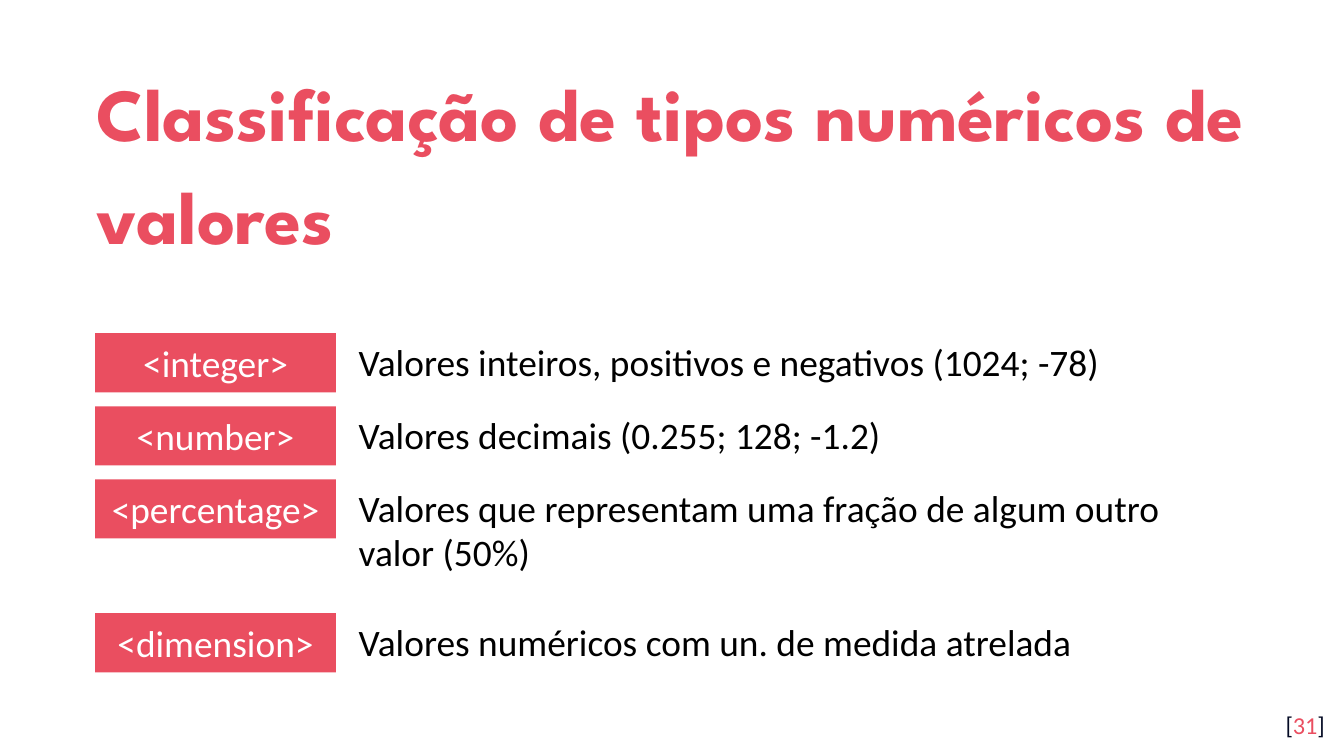
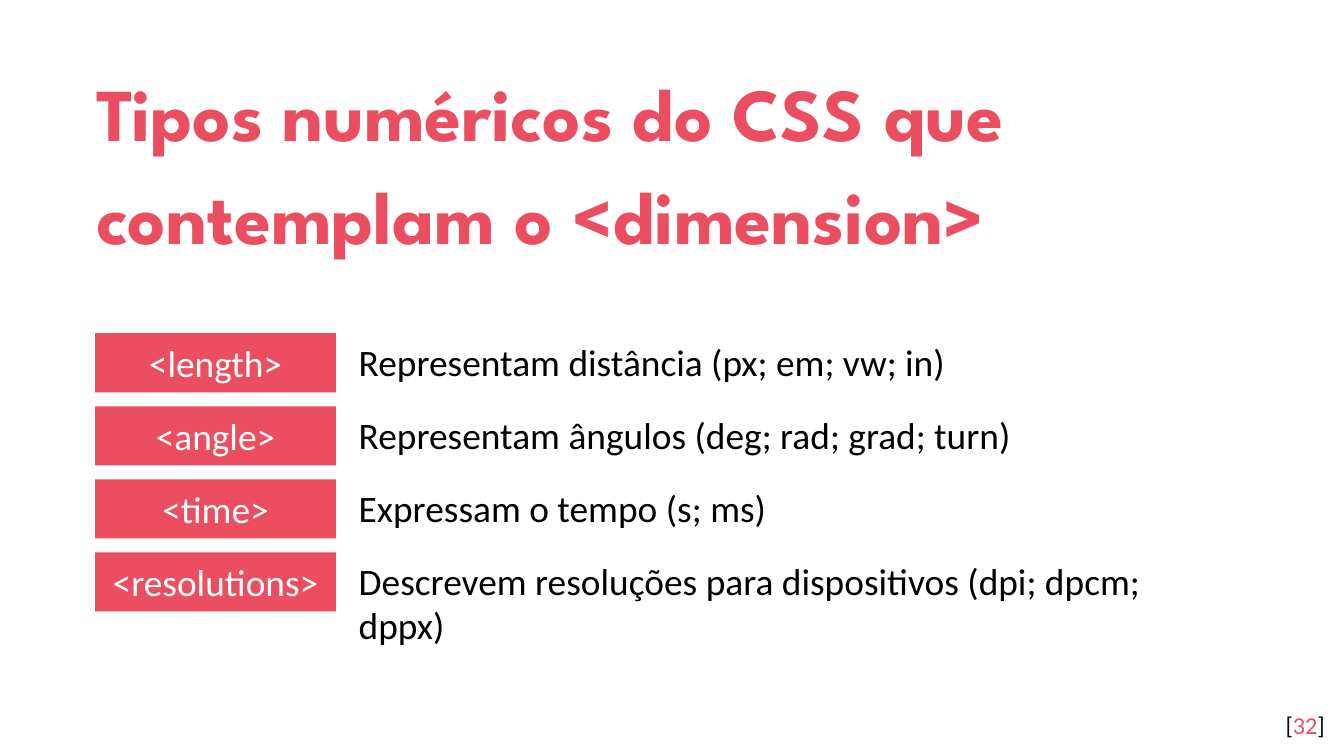
from pptx import Presentation
from pptx.dml.color import RGBColor
from pptx.enum.shapes import MSO_SHAPE
from pptx.enum.text import MSO_ANCHOR, MSO_AUTO_SIZE, PP_ALIGN
from pptx.util import Cm, Pt

CORAL = RGBColor(0xEA, 0x4E, 0x60)
NAVY = RGBColor(0x04, 0x0A, 0x24)
BLACK = RGBColor(0, 0, 0)
WHITE = RGBColor(255, 255, 255)
HEAD_FONT = "League Spartan"
BODY_FONT = "Calibri"
RECT = MSO_SHAPE.RECTANGLE
MIDDLE = MSO_ANCHOR.MIDDLE
LEFT, CENTER, RIGHT = PP_ALIGN.LEFT, PP_ALIGN.CENTER, PP_ALIGN.RIGHT
NO_FIT, GROW = MSO_AUTO_SIZE.NONE, MSO_AUTO_SIZE.SHAPE_TO_FIT_TEXT

TITLE_ONLY = 5
INSET = Cm(0.25)
ROW_TOP, ROW_STEP, ROW_HIGH = 6.3, 1.38, 1.12
LINE_HIGH = 0.84
EXTRA = 1.15  # added below a two-line row

# Each row: tag, meaning, number of lines
SLIDES = [
    (31, "Classificação de tipos numéricos de valores", [
        ("<integer>", "Valores inteiros, positivos e negativos (1024; -78)", 1),
        ("<number>", "Valores decimais (0.255; 128; -1.2)", 1),
        ("<percentage>",
         "Valores que representam uma fração de algum outro valor (50%)", 2),
        ("<dimension>", "Valores numéricos com un. de medida atrelada", 1),
    ]),
    (32, "Tipos numéricos do CSS que contemplam o <dimension>", [
        ("<length>", "Representam distância (px; em; vw; in)", 1),
        ("<angle>", "Representam ângulos (deg; rad; grad; turn)", 1),
        ("<time>", "Expressam o tempo (s; ms)", 1),
        ("<resolutions>",
         "Descrevem resoluções para dispositivos (dpi; dpcm; dppx)", 2),
    ]),
]


def set_font(font, size, color, name=BODY_FONT, bold=False):
    font.size = Pt(size)
    font.color.rgb = color
    font.name = name
    font.bold = bold


def set_frame(frame, fit=NO_FIT):
    """Wrap the text and give it equal insets on all sides."""
    frame.word_wrap = True
    frame.auto_size = fit
    frame.margin_left = frame.margin_right = INSET
    frame.margin_top = frame.margin_bottom = INSET


def add_title(slide, text):
    title = slide.shapes.title
    title.left, title.top = Cm(1.57), Cm(1.78)
    title.width, title.height = Cm(22.28), Cm(2.34)
    frame = title.text_frame
    set_frame(frame)
    frame.vertical_anchor = MIDDLE
    frame.text = text
    para = frame.paragraphs[0]
    para.alignment = LEFT
    para.line_spacing = 1.15
    set_font(para.font, 40, CORAL, HEAD_FONT, True)


def add_number(slide, number):
    box = slide.shapes.add_textbox(Cm(23.77), Cm(13.18), Cm(1.52), Cm(1.09))
    set_frame(box.text_frame)
    para = box.text_frame.paragraphs[0]
    para.alignment = RIGHT
    for text, color in (("[", NAVY), (str(number), CORAL), ("]", NAVY)):
        run = para.add_run()
        run.text = text
        set_font(run.font, 13, color)


def add_tag(slide, top, text):
    tag = slide.shapes.add_shape(RECT, Cm(1.8), Cm(top), Cm(4.55), Cm(ROW_HIGH))
    tag.shadow.inherit = False
    tag.fill.solid()
    tag.fill.fore_color.rgb = CORAL
    tag.line.fill.background()
    frame = tag.text_frame
    set_frame(frame)
    frame.vertical_anchor = MIDDLE
    frame.text = text
    para = frame.paragraphs[0]
    para.alignment = CENTER
    set_font(para.font, 20, WHITE)


def add_meaning(slide, top, text, lines):
    high = ROW_HIGH + (lines - 1) * LINE_HIGH
    box = slide.shapes.add_textbox(Cm(6.53), Cm(top), Cm(16.79), Cm(high))
    frame = box.text_frame
    frame.word_wrap = True
    frame.auto_size = GROW
    frame.text = text
    set_font(frame.paragraphs[0].font, 20, BLACK)


def add_rows(slide, rows):
    top = ROW_TOP
    for tag, meaning, lines in rows:
        add_tag(slide, top, tag)
        add_meaning(slide, top - 0.02, meaning, lines)
        top += ROW_STEP + (lines - 1) * EXTRA


def main():
    deck = Presentation()
    deck.slide_width, deck.slide_height = Cm(25.4), Cm(14.29)
    for number, title, rows in SLIDES:
        slide = deck.slides.add_slide(deck.slide_layouts[TITLE_ONLY])
        add_title(slide, title)
        add_number(slide, number)
        add_rows(slide, rows)
    deck.save("out.pptx")


if __name__ == "__main__":
    main()
